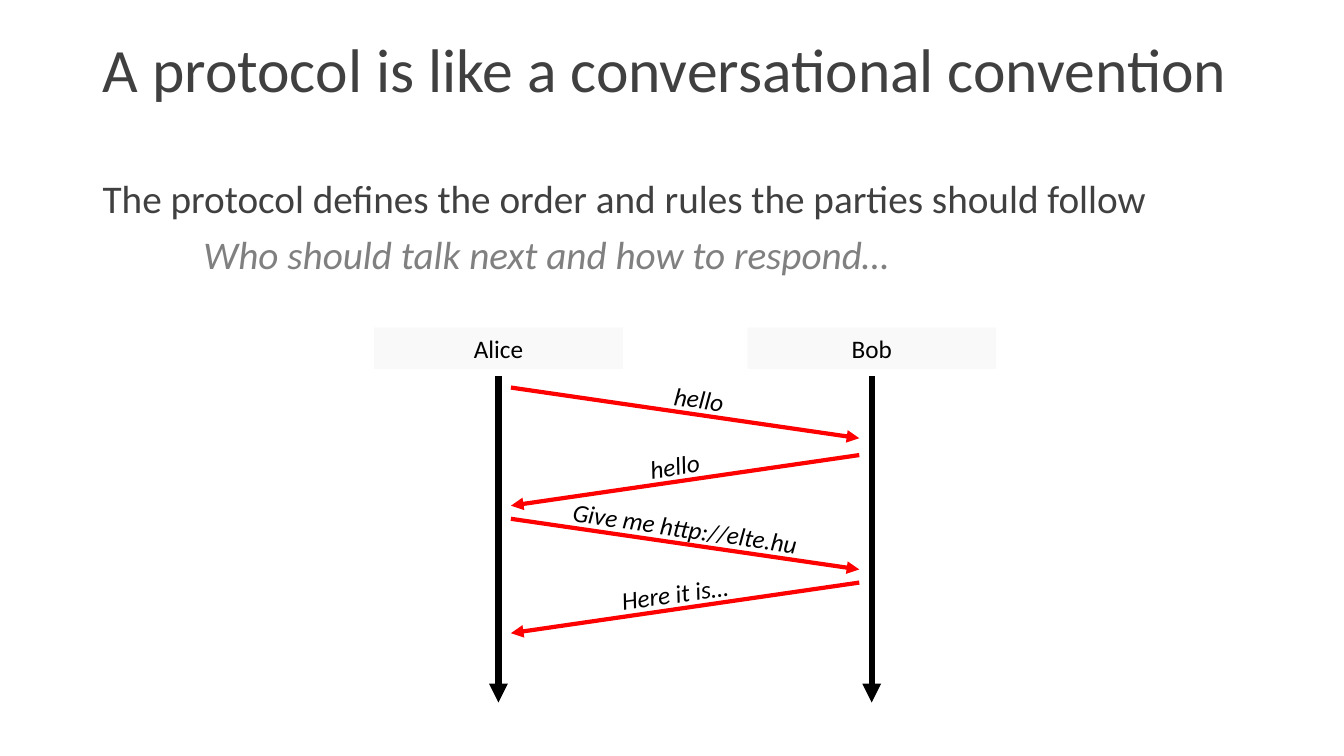
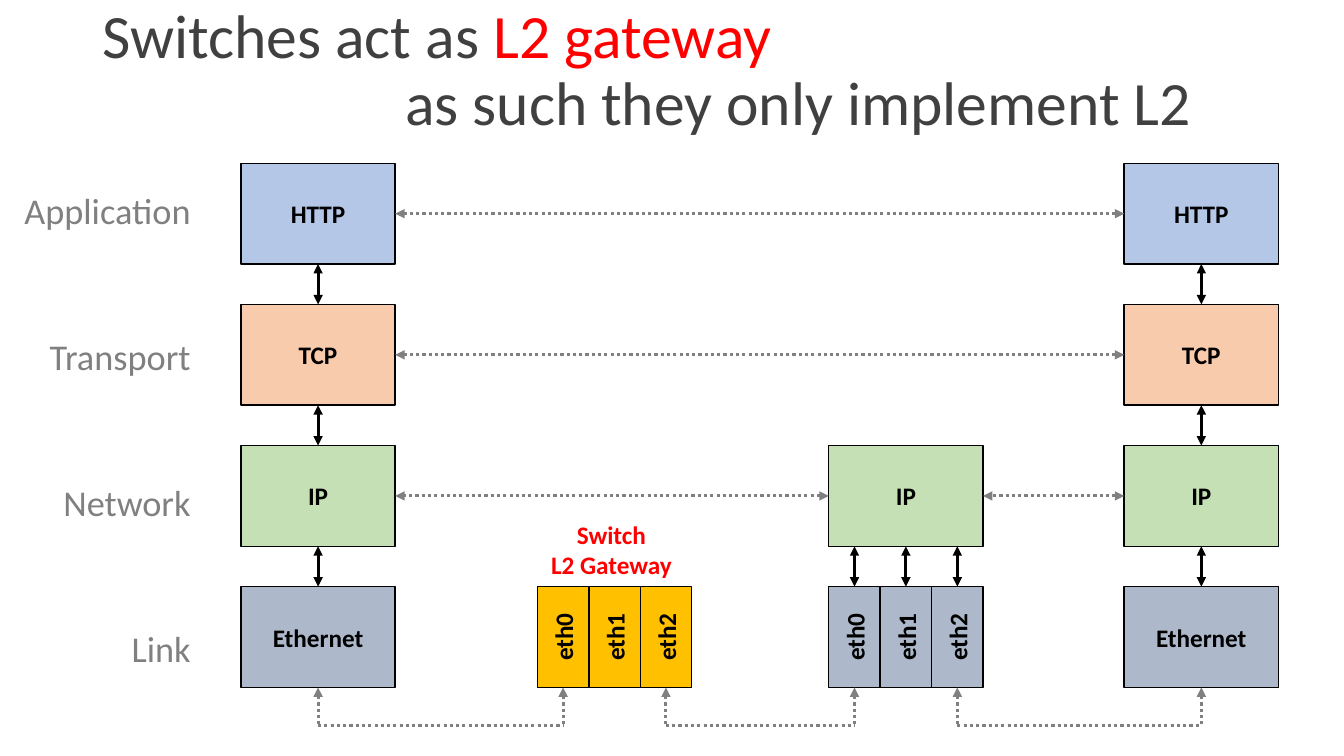
import math
from dataclasses import dataclass

from lxml import etree
from pptx import Presentation
from pptx import util as u
from pptx.dml.color import RGBColor
from pptx.enum import dml, shapes, text
from pptx.oxml.ns import qn

COLORS = {
    "title": "404040", "muted": "808080", "ink": "000000", "accent": "FF0000",
    "party": "F9F9F9", "application": "B4C7E7", "transport": "F8CBAD",
    "network": "C5E0B4", "link": "ADB9CA", "switch": "FFC000",
}
FONT = "Calibri"
LEFT, CENTER, RIGHT = text.PP_ALIGN.LEFT, text.PP_ALIGN.CENTER, text.PP_ALIGN.RIGHT
TOP, MIDDLE = text.MSO_ANCHOR.TOP, text.MSO_ANCHOR.MIDDLE
SITE_TOP, SITE_LEFT, SITE_BOTTOM, SITE_RIGHT = range(4)


@dataclass
class Box:
    left: float
    top: float
    width: float
    height: float

    def region(self, left, top, width, height):
        """Box inside this one, given as shares of its size."""
        return Box(self.left + left * self.width, self.top + top * self.height,
                   width * self.width, height * self.height)

    def inches(self):
        return [u.Inches(v) for v in (self.left, self.top, self.width, self.height)]


SLIDE = Box(0, 0, 13.33, 7.5)
TITLE = Box(0.92, -0.01, 11.5, 1.45)
BODY = Box(0.92, 1.73, 11.5, 1.3)


def rgb(name):
    return RGBColor.from_string(COLORS[name])


def write_text(frame, *paragraphs, size=18, color="ink", bold=False, italic=False,
               align=LEFT, anchor=TOP, line_spacing=1.0, space_before=0, indents=()):
    """Each paragraph is a string or a list of (text, overrides) runs."""
    frame.word_wrap = True
    frame.vertical_anchor = anchor
    for index, runs in enumerate(paragraphs):
        paragraph = frame.add_paragraph() if index else frame.paragraphs[0]
        paragraph.alignment = align
        paragraph.line_spacing = line_spacing
        if index:
            paragraph.space_before = u.Pt(space_before)
        if index < len(indents):
            paragraph._p.get_or_add_pPr().set("marL", str(u.Inches(indents[index])))
        for content, overrides in [(runs, {})] if isinstance(runs, str) else runs:
            run = paragraph.add_run()
            run.text = content
            run.font.name = FONT
            run.font.size = u.Pt(size)
            run.font.bold = bold
            run.font.italic = overrides.get("italic", italic)
            run.font.color.rgb = rgb(overrides.get("color", color))


def add_text(slide, box, *paragraphs, rotation=0, **text_format):
    shape = slide.shapes.add_textbox(*box.inches())
    shape.rotation = rotation
    write_text(shape.text_frame, *paragraphs, **text_format)


def add_block(slide, box, label, fill, outlined=True, upright=False, **text_format):
    """Rectangle with a centred label, which reads upwards if upright."""
    shape = slide.shapes.add_shape(shapes.MSO_SHAPE.RECTANGLE, *box.inches())
    shape.shadow.inherit = False
    shape.fill.solid()
    shape.fill.fore_color.rgb = rgb(fill)
    if outlined:
        shape.line.color.rgb = rgb("ink")
        shape.line.width = u.Pt(1)
    else:
        shape.line.fill.background()
    write_text(shape.text_frame, label, align=CENTER, anchor=MIDDLE, **text_format)
    if upright:
        shape.text_frame._txBody.bodyPr.set("vert", "vert270")
    return shape


def add_line(slide, start, end, color="ink", width=2.25, dotted=False,
             head=False, tail=False):
    """Line between two ends, each a point in inches or a (shape, site) pair."""
    points = [(0, 0) if hasattr(e[0], "shape_id") else e for e in (start, end)]
    connector = slide.shapes.add_connector(
        shapes.MSO_CONNECTOR.STRAIGHT, *[u.Inches(v) for point in points for v in point])
    for (first, second), join in ((start, connector.begin_connect),
                                  (end, connector.end_connect)):
        if hasattr(first, "shape_id"):
            join(first, second)
    connector.line.color.rgb = rgb(color)
    connector.line.width = u.Pt(width)
    if dotted:
        connector.line.dash_style = dml.MSO_LINE.ROUND_DOT
    outline = connector.line._get_or_add_ln()
    for tag, wanted in (("a:headEnd", head), ("a:tailEnd", tail)):
        if wanted:
            etree.SubElement(outline, qn(tag)).set("type", "triangle")
    etree.SubElement(connector._element.spPr, qn("a:effectLst"))


def add_slide(presentation, *title, **title_format):
    slide = presentation.slides.add_slide(presentation.slide_layouts[6])
    add_text(slide, TITLE, *title, size=44, color="title", anchor=MIDDLE,
             line_spacing=0.9, **title_format)
    return slide


def sequence_diagram(slide, box, parties, messages):
    """Two lifelines; messages are (text, start share, label share, rightward)."""
    head_width, head_height = 0.4, 0.11
    lifelines = []
    for index, party in enumerate(parties):
        head = box.region(index * (1 - head_width), 0, head_width, head_height)
        add_block(slide, head, party, "party", outlined=False)
        x = head.left + head.width / 2
        lifelines.append(x)
        add_line(slide, (x, box.top + 0.13 * box.height), (x, box.top + box.height),
                 width=4.5, tail=True)

    gap, drop, lift = 0.02 * box.width, 0.135 * box.height, 0.16
    left, right = lifelines[0] + gap, lifelines[1] - gap
    angle = math.degrees(math.atan2(drop, right - left))
    label_width, label_height = 2.6, 0.4
    for label, start, share, rightward in messages:
        y = box.top + start * box.height
        ends = (left, right) if rightward else (right, left)
        add_line(slide, (ends[0], y), (ends[1], y + drop), "accent", 3, tail=True)
        x = left + share * (right - left)
        line_y = y + drop * (share if rightward else 1 - share)
        add_text(slide, Box(x - label_width / 2, line_y - lift - label_height / 2,
                            label_width, label_height),
                 label, rotation=angle if rightward else 360 - angle,
                 italic=True, align=CENTER)


def layer_box(box, row):
    """Cell of a four-layer stack whose gaps are 0.4 of a cell."""
    cell = 1 / 5.2
    return box.region(0, row * 1.4 * cell, 1, cell)


def host_stack(slide, box):
    layers = [("HTTP", "application"), ("TCP", "transport"),
              ("IP", "network"), ("Ethernet", "link")]
    blocks = [add_block(slide, layer_box(box, row), name, fill, bold=True)
              for row, (name, fill) in enumerate(layers)]
    for upper, lower in zip(blocks, blocks[1:]):
        add_line(slide, (upper, SITE_BOTTOM), (lower, SITE_TOP), head=True, tail=True)
    return blocks


def port_row(slide, box, fill):
    return [add_block(slide, box.region(i / 3, 0, 1 / 3, 1), f"eth{i}", fill,
                      upright=True, bold=True) for i in range(3)]


def router_stack(slide, box):
    network, link = layer_box(box, 2), layer_box(box, 3)
    router = add_block(slide, network, "IP", "network", bold=True)
    ports = port_row(slide, link, "link")
    for index, port in enumerate(ports):
        x = link.left + (index + 0.5) * link.width / 3
        start = (router, SITE_BOTTOM) if index == 1 else (x, network.top + network.height)
        add_line(slide, start, (port, SITE_TOP), head=True, tail=True)
    return router, ports


def cable(slide, first, second, depth):
    """Dotted link that runs below two blocks and points up at both."""
    corners = []
    for block in (first, second):
        corner = (u.Emu(block.left + block.width // 2).inches, depth)
        add_line(slide, (block, SITE_BOTTOM), corner, "muted", dotted=True, head=True)
        corners.append(corner)
    add_line(slide, *corners, color="muted", dotted=True)


def protocol_slide(presentation):
    slide = add_slide(presentation, "A protocol is like a conversational convention")
    add_text(slide, BODY,
             "The protocol defines the order and rules the parties should follow",
             [("Who should talk next and how to respond…",
               {"color": "muted", "italic": True})],
             size=28, color="title", line_spacing=0.9, space_before=10, indents=(0, 1))
    sequence_diagram(slide, Box(3.71, 3.25, 6.17, 3.72), ("Alice", "Bob"), [
        ("hello", 0.16, 0.54, True),
        ("hello", 0.34, 0.47, False),
        ("Give me http://elte.hu", 0.51, 0.5, True),
        ("Here it is…", 0.68, 0.47, False),
    ])


def switch_slide(presentation):
    slide = add_slide(presentation,
                      [("Switches act as ", {}), ("L2 gateway", {"color": "accent"})],
                      "as such they only implement L2", indents=(0, 3))
    add_text(slide, Box(0.03, 1.9, 1.96, 5.02),
             "Application", "Transport", "Network", "Link", size=25.9, color="muted",
             align=RIGHT, line_spacing=0.8, space_before=79.5)

    column_left = {"client": 2.39, "switch": 5.33, "router": 8.22, "server": 11.15}
    columns = {name: Box(left, 1.62, 1.53, 5.2) for name, left in column_left.items()}
    client = host_stack(slide, columns["client"])
    server = host_stack(slide, columns["server"])
    router, router_ports = router_stack(slide, columns["router"])
    switch_ports = port_row(slide, layer_box(columns["switch"], 3), "switch")
    add_text(slide, columns["switch"].region(-0.04, 0.67, 1.04, 0.14),
             "Switch", "L2 Gateway", color="accent", bold=True, align=CENTER)

    peers = [(client[0], server[0]), (client[1], server[1]),
             (client[2], router), (router, server[2])]
    for near, far in peers:
        add_line(slide, (far, SITE_LEFT), (near, SITE_RIGHT), "muted", dotted=True,
                 head=True, tail=True)
    for first, second in ((client[3], switch_ports[0]),
                          (switch_ports[2], router_ports[0]),
                          (router_ports[2], server[3])):
        cable(slide, first, second, 0.96 * SLIDE.height)


def main():
    presentation = Presentation()
    presentation.slide_width = u.Inches(SLIDE.width)
    presentation.slide_height = u.Inches(SLIDE.height)
    protocol_slide(presentation)
    switch_slide(presentation)
    presentation.save("out.pptx")


if __name__ == "__main__":
    main()
